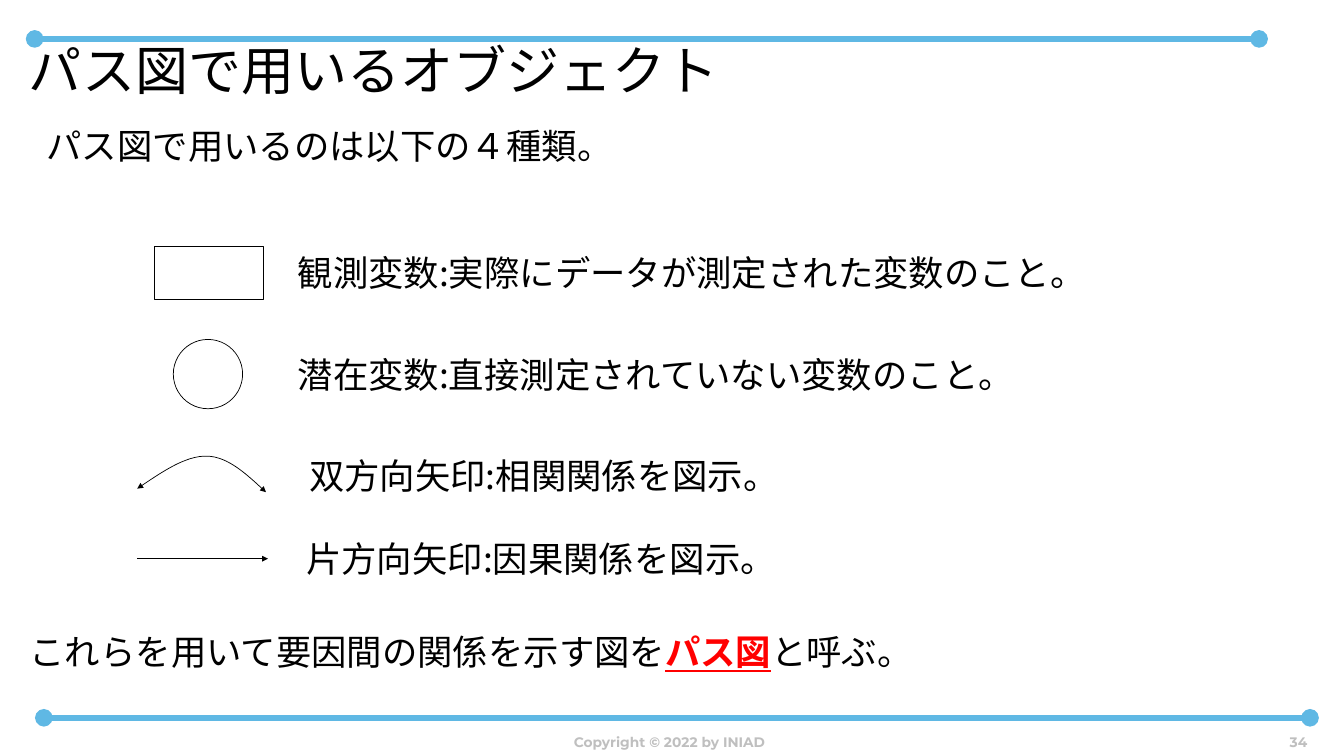
from dataclasses import dataclass

from lxml.etree import SubElement
from pptx import Presentation
from pptx.dml.color import RGBColor
from pptx.enum.shapes import MSO_CONNECTOR, MSO_SHAPE
from pptx.enum.text import MSO_ANCHOR, PP_ALIGN
from pptx.oxml.ns import qn
from pptx.util import Inches, Pt


@dataclass(frozen=True)
class Theme:
    ink: str = "000000"
    paper: str = "FFFFFF"
    sky: str = "5FB8E4"
    gray: str = "BFBFBF"
    red: str = "FF0000"
    head: str = "League Spartan"
    body: str = "Noto Sans CJK JP"
    small: str = "Montserrat"
    title: int = 54
    main: int = 36
    foot: int = 14
    thin: float = 0.75
    thick: float = 6


class Page:
    def __init__(self, slide, theme):
        self.slide = slide
        self.theme = theme

    def text(self, box, runs, size=None, font=None, color=None, bold=False,
             align=PP_ALIGN.LEFT, anchor=MSO_ANCHOR.TOP, inset=True):
        """Runs is a list of (words, marked) pairs."""
        look = self.theme
        frame = self.slide.shapes.add_textbox(*map(Inches, box)).text_frame
        frame.word_wrap = True
        frame.vertical_anchor = anchor
        if not inset:
            frame.margin_left = frame.margin_right = 0
            frame.margin_top = frame.margin_bottom = 0
        para = frame.paragraphs[0]
        para.alignment = align
        para.font.size = Pt(size or look.main)
        para.font.bold = bold
        para.font.color.rgb = RGBColor.from_string(color or look.ink)
        para.font.name = font or look.body
        base = para._p.pPr.find(qn("a:defRPr"))
        SubElement(base, qn("a:ea"), typeface=look.body)
        for words, marked in runs:
            run = para.add_run()
            run.text = words
            if marked:
                run.font.bold = run.font.underline = True
                run.font.color.rgb = RGBColor.from_string(look.red)

    def stroke(self, line, color, width, head=None, tail=None):
        line.color.rgb = RGBColor.from_string(color)
        line.width = Pt(width)
        for tag, kind in (("a:headEnd", head), ("a:tailEnd", tail)):
            if kind:
                SubElement(line._get_or_add_ln(), qn(tag), type=kind)

    def line(self, left, right, y, color, width, head=None, tail=None):
        link = self.slide.shapes.add_connector(
            MSO_CONNECTOR.STRAIGHT, Inches(left), Inches(y), Inches(right), Inches(y))
        self.stroke(link.line, color, width, head, tail)
        SubElement(link._element.spPr, qn("a:effectLst"))

    def shape(self, kind, box):
        form = self.slide.shapes.add_shape(kind, *map(Inches, box))
        form.shadow.inherit = False
        form.fill.solid()
        form.fill.fore_color.rgb = RGBColor.from_string(self.theme.paper)
        self.stroke(form.line, self.theme.ink, self.theme.thin)

    def curve(self, start, parts, steps=16):
        """Draw joined cubic curves, each part being two handles and an end."""
        dots = [start]
        for one, two, end in parts:
            first = dots[-1]
            for step in range(1, steps + 1):
                t = step / steps
                u = 1 - t
                dots.append(tuple(
                    u**3 * a + 3 * u * u * t * b + 3 * u * t * t * c + t**3 * d
                    for a, b, c, d in zip(first, one, two, end)))
        dots = [(Inches(x), Inches(y)) for x, y in dots]
        pen = self.slide.shapes.build_freeform(*dots[0])
        pen.add_line_segments(dots[1:], close=False)
        form = pen.convert_to_shape()
        form.shadow.inherit = False
        form.fill.background()
        self.stroke(form.line, self.theme.ink, self.theme.thin, "triangle", "triangle")


def main():
    deck = Presentation()
    deck.slide_width, deck.slide_height = Inches(19), Inches(10.69)
    look = Theme()
    page = Page(deck.slides.add_slide(deck.slide_layouts[6]), look)

    # Frame lines
    for left, right, y in ((0.49, 17.8, 0.55), (0.62, 18.52, 10.15)):
        page.line(left, right, y, look.sky, look.thick, "oval", "oval")

    # Title and footer
    page.text((0.41, 0.53, 17.39, 1.55), [("パス図で用いるオブジェクト", False)],
              look.title, look.head, inset=False)
    for box, words, align in (
            ((0.44, 10.15, 18.05, 0.51), "Copyright © 2022 by INIAD", PP_ALIGN.CENTER),
            ((17.54, 10.16, 1.04, 0.5), "34", PP_ALIGN.RIGHT)):
        page.text(box, [(words, False)], look.foot, look.small, look.gray, True,
                  align, MSO_ANCHOR.BOTTOM)

    # Lead and the four meanings
    for left, top, width, words in (
            (0.56, 1.7, 17.76, "パス図で用いるのは以下の４種類。"),
            (4.11, 3.5, 14.35, "観測変数:実際にデータが測定された変数のこと。"),
            (4.11, 4.95, 14.35, "潜在変数:直接測定されていない変数のこと。"),
            (4.27, 6.37, 14.35, "双方向矢印:相関関係を図示。"),
            (4.23, 7.55, 14.35, "片方向矢印:因果関係を図示。")):
        page.text((left, top, width, 0.71), [(words, False)])

    # The four symbols
    page.shape(MSO_SHAPE.RECTANGLE, (2.18, 3.49, 1.54, 0.75))
    page.shape(MSO_SHAPE.OVAL, (2.45, 4.8, 0.98, 0.98))
    page.curve((1.94, 6.91), [
        ((2.28, 6.68), (2.62, 6.44), (2.93, 6.45)),
        ((3.23, 6.46), (3.49, 6.71), (3.76, 6.96))])
    page.line(1.94, 3.79, 7.9, look.ink, look.thin, tail="triangle")

    # Closing remark
    page.text((0.32, 8.86, 17.76, 0.71), [
        ("これらを用いて要因間の関係を示す図を", False),
        ("パス図", True),
        ("と呼ぶ。", False)])

    deck.save("out.pptx")


if __name__ == "__main__":
    main()
